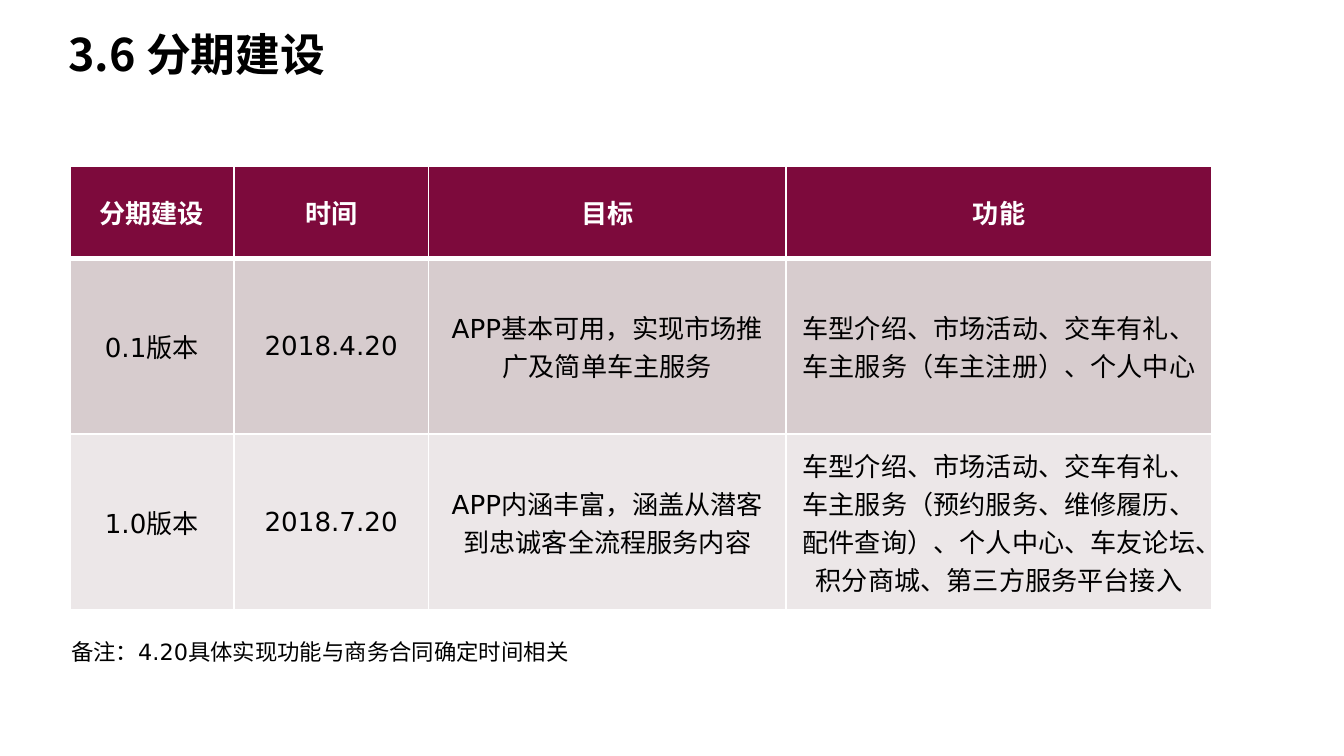
from dataclasses import dataclass

from lxml.etree import SubElement
from pptx import Presentation
from pptx.dml.color import RGBColor
from pptx.enum.text import MSO_ANCHOR, MSO_AUTO_SIZE, PP_ALIGN
from pptx.oxml.ns import qn
from pptx.slide import Slide
from pptx.table import _Cell
from pptx.text.text import TextFrame
from pptx.util import Inches, Pt

BURGUNDY = RGBColor(0x7D, 0x0A, 0x3C)
ROSE_GREY = RGBColor(0xD7, 0xCC, 0xCE)
PALE_GREY = RGBColor(0xEC, 0xE7, 0xE8)
WHITE = RGBColor(0xFF, 0xFF, 0xFF)
BLACK = RGBColor(0x00, 0x00, 0x00)
LATIN_FONT = "DejaVu Sans"
CHINESE_FONT = "Noto Sans CJK SC"

TITLE_FORMAT = {"name": CHINESE_FONT, "size": Pt(24), "bold": True}
HEADER_FORMAT = {"name": LATIN_FONT, "size": Pt(14), "bold": True}
BODY_FORMAT = {"name": LATIN_FONT, "size": Pt(14), "bold": False}
NOTE_FORMAT = {"name": LATIN_FONT, "size": Pt(12), "bold": False}


@dataclass
class PhaseRow:
    texts: tuple[str, ...]
    height: float
    fill: RGBColor
    color: RGBColor
    font_format: dict
    bottom_border: int = 1


COLUMN_WIDTHS = (1.22, 1.45, 2.66, 3.17)
PHASE_ROWS = (
    PhaseRow(("分期建设", "时间", "目标", "功能"), 0.68, BURGUNDY, WHITE, HEADER_FORMAT, 3),
    PhaseRow(
        ("0.1版本", "2018.4.20", "APP基本可用，实现市场推广及简单车主服务",
         "车型介绍、市场活动、交车有礼、车主服务（车主注册）、个人中心"),
        1.31, ROSE_GREY, BLACK, BODY_FORMAT,
    ),
    PhaseRow(
        ("1.0版本", "2018.7.20", "APP内涵丰富，涵盖从潜客到忠诚客全流程服务内容",
         "车型介绍、市场活动、交车有礼、车主服务（预约服务、维修履历、配件查询）、"
         "个人中心、车友论坛、积分商城、第三方服务平台接入"),
        1.31, PALE_GREY, BLACK, BODY_FORMAT,
    ),
)


def write_text(frame: TextFrame, text: str, color: RGBColor, font_format: dict,
               alignment: PP_ALIGN = PP_ALIGN.LEFT) -> None:
    paragraph = frame.paragraphs[0]
    paragraph.alignment = alignment
    run = paragraph.add_run()
    run.text = text
    for name, value in font_format.items():
        setattr(run.font, name, value)
    run.font.color.rgb = color
    SubElement(run.font._element, qn("a:ea"), typeface=CHINESE_FONT)


def draw_borders(cell: _Cell, top: int, bottom: int) -> None:
    properties = cell._tc.get_or_add_tcPr()
    for side, width in {"L": 1, "R": 1, "T": top, "B": bottom}.items():
        line = SubElement(properties, qn(f"a:ln{side}"), w=str(Pt(width)))
        fill = SubElement(line, qn("a:solidFill"))
        SubElement(fill, qn("a:srgbClr"), val=str(WHITE))


def add_title(slide: Slide, text: str) -> None:
    title = slide.shapes.title
    title.left, title.top = Inches(0.51), Inches(0.2)
    title.width, title.height = Inches(7.99), Inches(0.4)
    frame = title.text_frame
    frame_format = {
        "margin_left": 0, "margin_top": 0, "margin_right": 0, "margin_bottom": 0,
        "vertical_anchor": MSO_ANCHOR.TOP, "word_wrap": True,
        "auto_size": MSO_AUTO_SIZE.SHAPE_TO_FIT_TEXT,
    }
    for name, value in frame_format.items():
        setattr(frame, name, value)
    write_text(frame, text, BLACK, TITLE_FORMAT)


def add_phase_table(slide: Slide) -> None:
    table = slide.shapes.add_table(
        len(PHASE_ROWS), len(COLUMN_WIDTHS),
        Inches(0.52), Inches(1.24), Inches(8.5), Inches(3.3),
    ).table
    for column, width in zip(table.columns, COLUMN_WIDTHS):
        column.width = Inches(width)
    top_border = 1
    for row, phase in zip(table.rows, PHASE_ROWS):
        row.height = Inches(phase.height)
        for cell, text in zip(row.cells, phase.texts):
            draw_borders(cell, top_border, phase.bottom_border)
            cell.fill.solid()
            cell.fill.fore_color.rgb = phase.fill
            cell.vertical_anchor = MSO_ANCHOR.MIDDLE
            write_text(cell.text_frame, text, phase.color, phase.font_format, PP_ALIGN.CENTER)
        top_border = phase.bottom_border


def add_note(slide: Slide, text: str) -> None:
    note = slide.shapes.add_textbox(Inches(0.43), Inches(4.7), Inches(8.19), Inches(0.3))
    note.text_frame.word_wrap = True
    note.text_frame.auto_size = MSO_AUTO_SIZE.SHAPE_TO_FIT_TEXT
    write_text(note.text_frame, text, BLACK, NOTE_FORMAT)


def main() -> None:
    presentation = Presentation()
    presentation.slide_width = Inches(10)
    presentation.slide_height = Inches(10) * 9 // 16
    slide = presentation.slides.add_slide(presentation.slide_layouts[5])
    add_title(slide, "3.6 分期建设")
    add_phase_table(slide)
    add_note(slide, "备注：4.20具体实现功能与商务合同确定时间相关")
    presentation.save("out.pptx")


if __name__ == "__main__":
    main()
